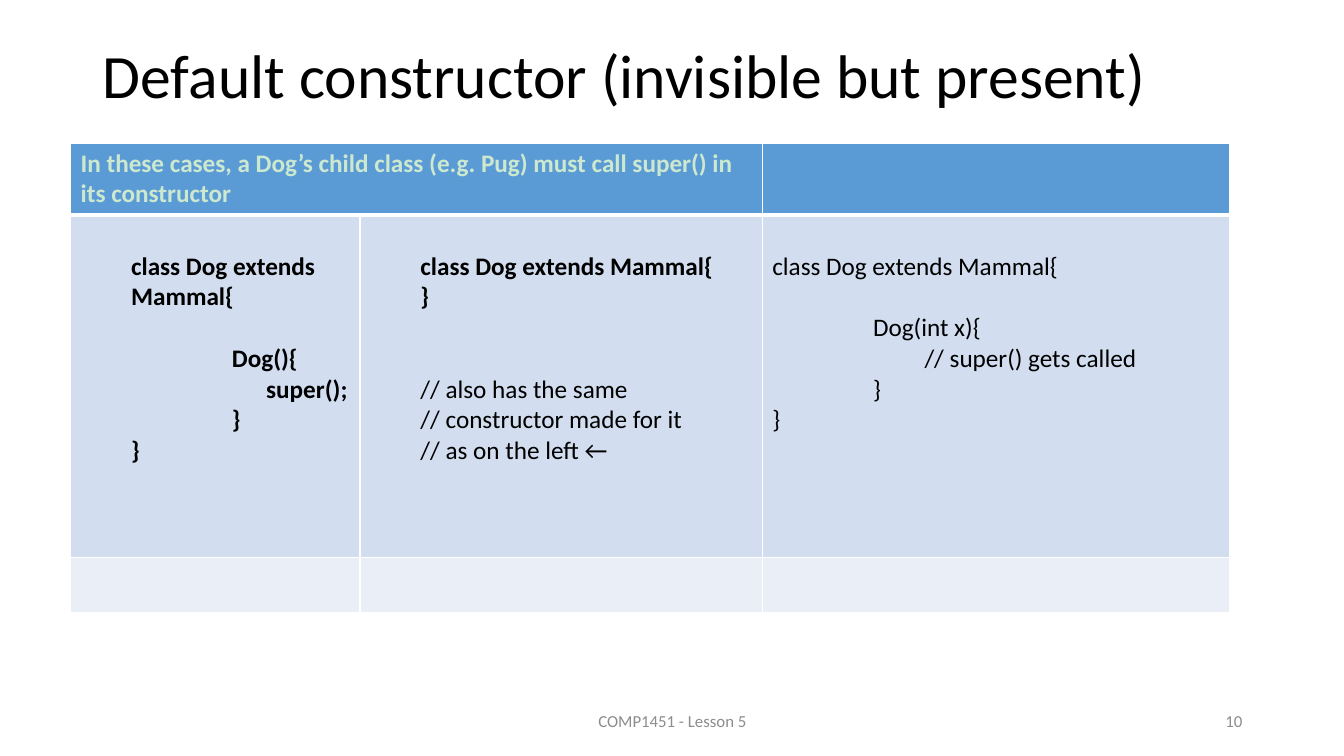
from typing import NamedTuple

from lxml.etree import SubElement
from pptx import Presentation
from pptx.dml.color import RGBColor
from pptx.enum.text import MSO_ANCHOR, MSO_AUTO_SIZE, PP_ALIGN
from pptx.oxml.ns import qn
from pptx.util import Inches, Pt

BLACK = RGBColor(0x00, 0x00, 0x00)
WHITE = RGBColor(0xFF, 0xFF, 0xFF)
GRAY = RGBColor(0x8C, 0x8C, 0x8C)
PALE_GREEN = RGBColor(0xCC, 0xE8, 0xCF)
HEADER_BLUE = RGBColor(0x5B, 0x9B, 0xD5)
BAND_BLUE = RGBColor(0xD2, 0xDE, 0xEF)
BAND_PALE = RGBColor(0xEA, 0xEF, 0xF7)
FONT = "Calibri"
LINE_GAP = 22


class CodeLine(NamedTuple):
    text: str
    indent: float = 0
    bold: bool = False
    gap_lines: int = 0


class Footer(NamedTuple):
    text: str
    left: float
    width: float
    alignment: PP_ALIGN


EXPLICIT_CONSTRUCTOR = [
    CodeLine("class Dog extends Mammal{", 0.5, True),
    CodeLine("Dog(){", 1.5, True, 1),
    CodeLine("super();", 1.84, True),
    CodeLine("}", 1.5, True),
    CodeLine("}", 0.5, True),
]
INVISIBLE_CONSTRUCTOR = [
    CodeLine("class Dog extends Mammal{", 0.5, True),
    CodeLine("}", 0.5, True),
    CodeLine("// also has the same", 0.5, gap_lines=2),
    CodeLine("// constructor made for it", 0.5),
    CodeLine("// as on the left ←", 0.5),
]
PARAMETER_CONSTRUCTOR = [
    CodeLine("class Dog extends Mammal{"),
    CodeLine("Dog(int x){", 1, gap_lines=1),
    CodeLine("// super() gets called", 1.51),
    CodeLine("}", 1),
    CodeLine("}"),
]
FOOTERS = [
    Footer("COMP1451 - Lesson 5", 4.42, 4.5, PP_ALIGN.CENTER),
    Footer("10", 9.42, 3, PP_ALIGN.RIGHT),
]


def set_font(paragraph, size: float, color: RGBColor, bold: bool = False) -> None:
    font = paragraph.font
    font.name, font.size, font.bold = FONT, Pt(size), bold
    font.color.rgb = color


def set_borders(cell, bottom_width: float) -> None:
    properties = cell._tc.get_or_add_tcPr()
    for position, side in enumerate(("lnL", "lnR", "lnT", "lnB")):
        width = bottom_width if side == "lnB" else 1
        line = SubElement(properties, qn(f"a:{side}"), w=str(Pt(width)))
        fill = SubElement(line, qn("a:solidFill"))
        SubElement(fill, qn("a:srgbClr"), val=str(WHITE))
        properties.insert(position, line)


def write_code(cell, lines: list[CodeLine]) -> None:
    cell.margin_top = Inches(0.36)
    frame = cell.text_frame
    for index, line in enumerate(lines):
        paragraph = frame.add_paragraph() if index else frame.paragraphs[0]
        paragraph.text = line.text
        paragraph.space_before = Pt(line.gap_lines * LINE_GAP)
        paragraph._p.get_or_add_pPr().set("marL", str(Inches(line.indent)))
        set_font(paragraph, 18, BLACK, line.bold)


def add_title(page) -> None:
    title = page.shapes.title
    title.left, title.top = Inches(0.92), Inches(0.4)
    title.width, title.height = Inches(11.5), Inches(1.45)
    frame = title.text_frame
    frame.text = "Default constructor (invisible but present)"
    frame.vertical_anchor = MSO_ANCHOR.TOP
    frame.auto_size = MSO_AUTO_SIZE.NONE
    paragraph = frame.paragraphs[0]
    paragraph.alignment = PP_ALIGN.LEFT
    paragraph.line_spacing = 0.9
    set_font(paragraph, 44, BLACK)


def add_constructor_table(page) -> None:
    widths, heights = (2.87, 3.99, 4.64), (0.7, 3.4, 0.55)
    table = page.shapes.add_table(
        len(heights), len(widths), Inches(0.7), Inches(1.42),
        Inches(sum(widths)), Inches(sum(heights))).table
    for column, width in zip(table.columns, widths):
        column.width = Inches(width)
    for row, height, color in zip(table.rows, heights, (HEADER_BLUE, BAND_BLUE, BAND_PALE)):
        row.height = Inches(height)
        for cell in row.cells:
            cell.fill.solid()
            cell.fill.fore_color.rgb = color
            set_borders(cell, 3 if color == HEADER_BLUE else 1)
    header = table.cell(0, 0)
    header.merge(table.cell(0, 1))
    header.text = ("In these cases, a Dog’s child class (e.g. Pug) "
                   "must call super() in its constructor")
    set_font(header.text_frame.paragraphs[0], 18, PALE_GREEN, True)
    examples = (EXPLICIT_CONSTRUCTOR, INVISIBLE_CONSTRUCTOR, PARAMETER_CONSTRUCTOR)
    for column, lines in enumerate(examples):
        write_code(table.cell(1, column), lines)


def add_footer(page, footer: Footer) -> None:
    box = page.shapes.add_textbox(
        Inches(footer.left), Inches(6.95), Inches(footer.width), Inches(0.4))
    frame = box.text_frame
    frame.word_wrap = True
    frame.vertical_anchor = MSO_ANCHOR.MIDDLE
    paragraph = frame.paragraphs[0]
    paragraph.text = footer.text
    paragraph.alignment = footer.alignment
    set_font(paragraph, 12, GRAY)


deck = Presentation()
deck.slide_width, deck.slide_height = Inches(13.33), Inches(7.5)
page = deck.slides.add_slide(deck.slide_layouts.get_by_name("Title Only"))
page.background.fill.solid()
page.background.fill.fore_color.rgb = WHITE
add_title(page)
add_constructor_table(page)
for footer in FOOTERS:
    add_footer(page, footer)
deck.save("out.pptx")
